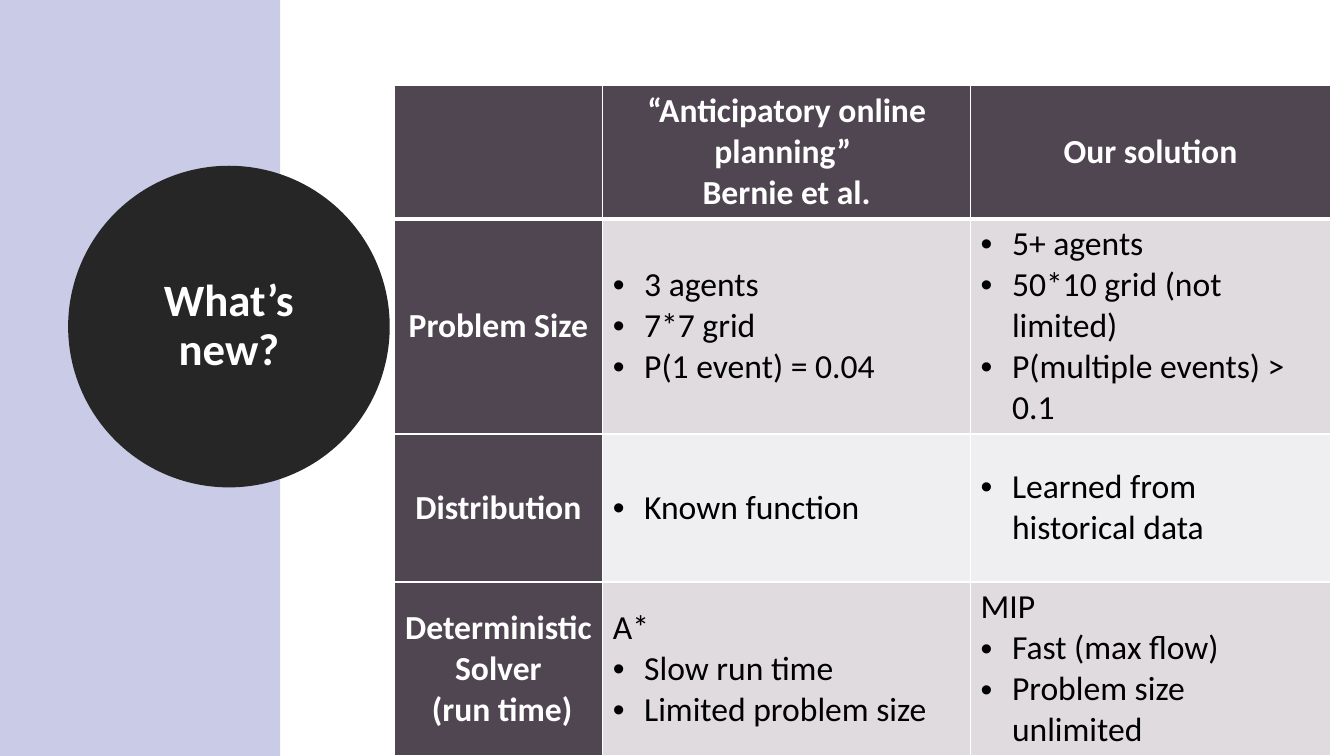
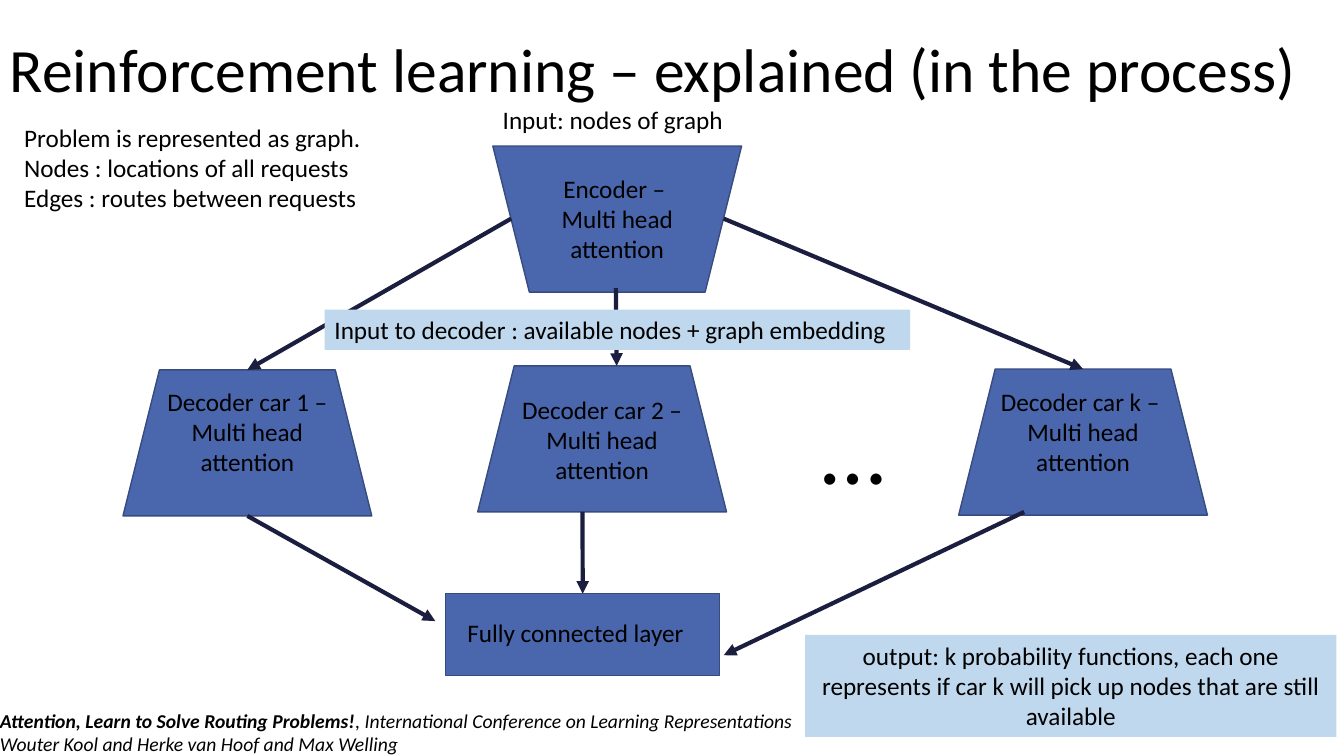
from dataclasses import dataclass

from lxml import etree
from pptx import Presentation
from pptx import util as u
from pptx.dml.color import RGBColor
from pptx.enum import shapes, text
from pptx.oxml.ns import qn


@dataclass(frozen=True)
class Theme:
    font: str = "Calibri"
    title_size: int = 44
    badge_size: int = 32
    table_size: int = 24
    body_size: int = 18
    citation_size: int = 14
    ellipsis_size: int = 66
    white: str = "FFFFFF"
    black: str = "000000"
    band: str = "C9CBE7"
    badge: str = "262626"
    header: str = "504652"
    row_dark: str = "DFDBDF"
    row_light: str = "EFEEF0"
    block: str = "4A66AC"
    block_line: str = "374B7F"
    arrow: str = "1B1E3E"
    callout: str = "C0D8ED"


THEME = Theme()
LEFT, CENTER = text.PP_ALIGN.LEFT, text.PP_ALIGN.CENTER
TOP, MIDDLE = text.MSO_ANCHOR.TOP, text.MSO_ANCHOR.MIDDLE
KIND = shapes.MSO_SHAPE

COLUMN_WIDTHS = (5.26, 9.27, 9.07)
ROW_HEIGHTS = (3.07, 4.04, 3.73, 4.04)
HEADINGS = ([], ["“Anticipatory online planning” ", "Bernie et al."], ["Our solution"])
COMPARISON = (
    (["Problem Size"],
     ["• 3 agents", "• 7*7 grid", "• P(1 event) = 0.04"],
     ["• 5+ agents", "• 50*10 grid (not limited)", "• P(multiple events) > 0.1"]),
    (["Distribution"], ["• Known function"], ["• Learned from historical data"]),
    (["Deterministic Solver", " (run time)"],
     ["A*", "• Slow run time", "• Limited problem size"],
     ["MIP", "• Fast (max flow)", "• Problem size unlimited"]),
)


def cm_box(box):
    return [u.Cm(value) for value in box]


def rgb(color):
    return RGBColor.from_string(color)


def format_run(run, size, color, bold=False, italic=False):
    run.font.name = THEME.font
    run.font.size = u.Pt(size)
    run.font.color.rgb = rgb(color)
    run.font.bold = bold
    run.font.italic = italic


def add_bullet(paragraph):
    properties = paragraph._p.get_or_add_pPr()
    indent = u.Cm(0.79)
    properties.set("marL", str(indent))
    properties.set("indent", str(-indent))
    etree.SubElement(properties, qn("a:buFont")).set("typeface", "Arial")
    etree.SubElement(properties, qn("a:buChar")).set("char", "•")


def write_lines(frame, lines, size=THEME.body_size, color=THEME.black,
                bold=False, align=LEFT, spacing=None):
    for index, line in enumerate(lines):
        paragraph = frame.add_paragraph() if index else frame.paragraphs[0]
        paragraph.text = line.removeprefix("• ")
        paragraph.alignment = align
        if spacing:
            paragraph.line_spacing = spacing
        if line.startswith("• "):
            add_bullet(paragraph)
        for run in paragraph.runs:
            format_run(run, size, color, bold)


def add_label(slide, box, lines, anchor=TOP, **style):
    label = slide.shapes.add_textbox(*cm_box(box))
    label.text_frame.word_wrap = True
    label.text_frame.vertical_anchor = anchor
    write_lines(label.text_frame, lines, **style)
    return label


def add_block(slide, kind, box, fill, line=None, line_width=1):
    shape = slide.shapes.add_shape(kind, *cm_box(box))
    shape.shadow.inherit = False
    shape.fill.solid()
    shape.fill.fore_color.rgb = rgb(fill)
    if line:
        shape.line.color.rgb = rgb(line)
        shape.line.width = u.Pt(line_width)
    else:
        shape.line.fill.background()
    return shape


def add_callout(slide, box, lines, align=LEFT):
    callout = add_block(slide, KIND.RECTANGLE, box, THEME.callout)
    callout.text_frame.word_wrap = True
    callout.text_frame.vertical_anchor = TOP
    write_lines(callout.text_frame, lines, align=align)


def add_arrow(slide, start, end, source=None, target=None):
    connector = slide.shapes.add_connector(
        shapes.MSO_CONNECTOR.STRAIGHT, *cm_box(start + end))
    if source:
        connector.begin_connect(source, 2)
    if target:
        connector.end_connect(target, 0)
    connector.line.color.rgb = rgb(THEME.arrow)
    connector.line.width = u.Pt(3)
    line = connector.line._get_or_add_ln()
    etree.SubElement(line, qn("a:tailEnd")).set("type", "triangle")
    etree.SubElement(connector._element.spPr, qn("a:effectLst"))


def set_borders(cell, top=1, bottom=1):
    properties = cell._tc.get_or_add_tcPr()
    widths = {"a:lnL": 1, "a:lnR": 1, "a:lnT": top, "a:lnB": bottom}
    for index, (tag, width) in enumerate(widths.items()):
        border = etree.Element(qn(tag), w=str(u.Pt(width)))
        fill = etree.SubElement(border, qn("a:solidFill"))
        etree.SubElement(fill, qn("a:srgbClr")).set("val", THEME.white)
        properties.insert(index, border)


def add_comparison_table(slide, left, top):
    rows = (HEADINGS,) + COMPARISON
    box = (left, top, sum(COLUMN_WIDTHS), sum(ROW_HEIGHTS))
    table = slide.shapes.add_table(len(rows), len(COLUMN_WIDTHS), *cm_box(box)).table
    table.first_row = table.horz_banding = False
    for column, width in zip(table.columns, COLUMN_WIDTHS):
        column.width = u.Cm(width)
    for row, height in zip(table.rows, ROW_HEIGHTS):
        row.height = u.Cm(height)
    for row_index, row in enumerate(rows):
        for column_index, lines in enumerate(row):
            cell = table.cell(row_index, column_index)
            heading = row_index == 0 or column_index == 0
            body_fill = THEME.row_dark if row_index % 2 else THEME.row_light
            cell.fill.solid()
            cell.fill.fore_color.rgb = rgb(THEME.header if heading else body_fill)
            cell.vertical_anchor = MIDDLE
            write_lines(cell.text_frame, lines, THEME.table_size,
                        THEME.white if heading else THEME.black,
                        heading, CENTER if heading else LEFT)
            set_borders(cell, 3 if row_index == 1 else 1, 3 if row_index == 0 else 1)


def add_badge(slide, box, caption):
    badge = add_block(slide, KIND.OVAL, box, THEME.badge, THEME.badge, 13.75)
    badge.text_frame.word_wrap = True
    badge.text_frame.vertical_anchor = MIDDLE
    write_lines(badge.text_frame, [caption], THEME.badge_size, THEME.white,
                True, CENTER, 0.9)


def add_attention_block(slide, left, top, name, label_drop, rotation=0):
    block = add_block(slide, KIND.TRAPEZOID, (left, top, 6.27, 3.68),
                      THEME.block, THEME.block_line)
    block.rotation = rotation
    add_label(slide, (left + 0.81, top + label_drop, 4.65, 2.57),
              [f"{name} – ", "Multi head attention"], align=CENTER)
    return block


def add_output_layer(slide, left, top):
    layer = add_block(slide, KIND.RECTANGLE, (left, top, 6.91, 2.06),
                      THEME.block, THEME.block_line)
    add_label(slide, (left - 0.18, top + 0.46, 6.91, 1.02),
              ["Fully connected layer"], align=CENTER)
    return layer


def add_citation(slide, box):
    label = add_label(slide, box, ["", "Wouter Kool and Herke van Hoof and Max Welling"])
    frame = label.text_frame
    frame.margin_left = frame.margin_right = 0
    first, second = frame.paragraphs
    for part in ("Attention, Learn to Solve Routing Problems!",
                 ", International Conference on Learning Representations"):
        first.add_run().text = part
    for index, run in enumerate((*first.runs, *second.runs)):
        format_run(run, THEME.citation_size, THEME.black, index == 0, True)


def add_network(slide):
    add_attention_block(slide, 12.42, 3.68, "Encoder", 0.56, 180)
    first = add_attention_block(slide, 3.1, 9.32, "Decoder car 1", 0.28)
    add_attention_block(slide, 12.04, 9.22, "Decoder car 2", 0.58)
    last = add_attention_block(slide, 24.16, 9.3, "Decoder car k", 0.3)
    add_label(slide, (20.45, 9.75, 2.44, 3.07), ["…"], size=THEME.ellipsis_size)
    layer = add_output_layer(slide, 11.23, 14.96)
    add_arrow(slide, (12.88, 5.51), (6.24, 9.32), target=first)
    add_arrow(slide, (18.24, 5.51), (27.3, 9.3), target=last)
    add_arrow(slide, (15.52, 7.26), (15.54, 9.22))
    add_arrow(slide, (6.24, 13), (10.97, 15.65), source=first)
    add_arrow(slide, (25.81, 12.9), (18.24, 16.51))
    add_arrow(slide, (14.68, 12.9), (14.68, 14.96), target=layer)


def build_comparison_slide(slide):
    add_comparison_table(slide, 9.93, 2.16)
    add_block(slide, KIND.RECTANGLE, (0, 0, 7.06, 19.05), THEME.band)
    add_badge(slide, (1.96, 4.42, 7.62, 7.62), "What’s new?")


def build_network_slide(slide):
    add_label(slide, (0, 0, 33.53, 3.68),
              ["Reinforcement learning – explained (in the process)"],
              MIDDLE, size=THEME.title_size, spacing=0.9)
    add_network(slide)
    add_label(slide, (12.42, 2.51, 6.27, 1.02), ["Input: nodes of graph"])
    add_label(slide, (0.36, 2.95, 11.13, 2.57),
              ["Problem is represented as graph.",
               "Nodes : locations of all requests",
               "Edges : routes between requests"])
    add_callout(slide, (20.29, 16, 13.39, 2.57),
                ["output: k probability functions, each one represents if car k "
                 "will pick up nodes that are still available"], CENTER)
    add_callout(slide, (8.18, 7.8, 14.76, 1.02),
                ["Input to decoder : available nodes + graph embedding"])
    add_citation(slide, (0, 17.73, 20.5, 1.32))


def main():
    presentation = Presentation()
    presentation.slide_width = u.Cm(33.87)
    presentation.slide_height = u.Cm(19.05)
    for build in (build_comparison_slide, build_network_slide):
        build(presentation.slides.add_slide(presentation.slide_layouts[6]))
    presentation.save("out.pptx")


if __name__ == "__main__":
    main()
